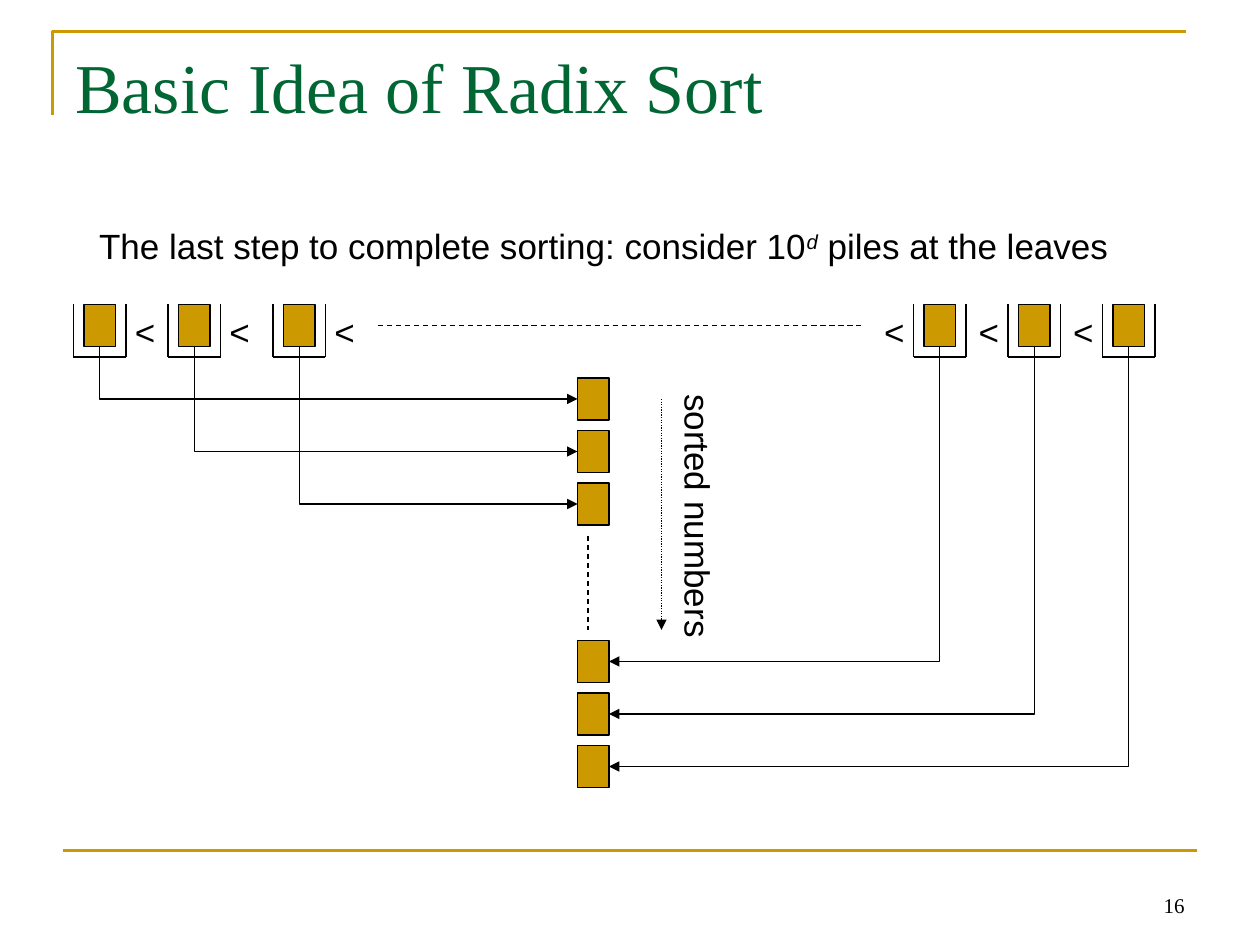
from dataclasses import dataclass

from lxml.etree import SubElement
from pptx import Presentation
from pptx.dml.color import RGBColor
from pptx.enum.dml import MSO_LINE
from pptx.enum.shapes import MSO_CONNECTOR, MSO_SHAPE
from pptx.enum.text import MSO_ANCHOR, PP_ALIGN
from pptx.oxml.ns import qn
from pptx.util import Cm, Length, Pt

GOLD, GREEN, BLACK = "CC9900", "006633", "000000"
BOX_WIDTH, BOX_HEIGHT, BIN_SIZE = 3, 4, 5
BIN_TOP, PILE_LEFT = 29, 55


@dataclass
class Route:
    """A bin whose number moves to a place in the sorted pile."""
    bin_left: float
    pile_top: float
    from_left: bool


@dataclass
class Label:
    left: float
    top: float
    width: float
    height: float
    runs: list[tuple[str, dict]]
    font: dict
    alignment: PP_ALIGN = PP_ALIGN.CENTER
    frame: dict | None = None
    color: str = BLACK
    rotation: float = 0


ROUTES = [
    Route(7, 36, True), Route(16, 41, True), Route(26, 46, True),
    Route(87, 61, False), Route(96, 66, False), Route(105, 71, False),
]


def grid(units: float) -> Length:
    """Twelve grid units make one inch."""
    return Cm(units * 2.54 / 12)


def color(value: str) -> RGBColor:
    return RGBColor.from_string(value)


def set_attributes(target, values: dict) -> None:
    for name, value in values.items():
        setattr(target, name, value)


def style_connector(connector, line_color: str, width: float, dash, arrow: bool) -> None:
    connector.line.color.rgb = color(line_color)
    connector.line.width = Pt(width)
    if dash is not None:
        connector.line.dash_style = dash
    properties = connector.element.spPr
    if arrow:
        SubElement(properties.find(qn("a:ln")), qn("a:tailEnd"), type="triangle")
    SubElement(properties, qn("a:effectLst"))


def add_line(shapes, start: tuple, end: tuple, line_color: str = BLACK,
             width: float = 0.75, dash=None, arrow: bool = False) -> None:
    points = [grid(value) for value in (*start, *end)]
    connector = shapes.add_connector(MSO_CONNECTOR.STRAIGHT, *points)
    style_connector(connector, line_color, width, dash, arrow)


def add_box(shapes, left: float, top: float):
    shape = shapes.add_shape(MSO_SHAPE.RECTANGLE, grid(left), grid(top),
                             grid(BOX_WIDTH), grid(BOX_HEIGHT))
    shape.shadow.inherit = False
    shape.fill.solid()
    shape.fill.fore_color.rgb = color(GOLD)
    shape.line.color.rgb = color(BLACK)
    shape.line.width = Pt(0.75)
    return shape


def add_bin(shapes, left: float) -> None:
    group = shapes.add_group_shape()
    right, bottom = left + BIN_SIZE, BIN_TOP + BIN_SIZE
    corners = [(left, BIN_TOP), (left, bottom), (right, bottom), (right, BIN_TOP)]
    for start, end in zip(corners, corners[1:]):
        add_line(group.shapes, start, end)


def add_elbow(shapes, source, target, route: Route) -> None:
    """Go down from the source, then sideways into the target."""
    start_x, start_y = source.left + source.width // 2, source.top + source.height
    end_x = target.left if route.from_left else target.left + target.width
    end_y = target.top + target.height // 2
    connector = shapes.add_connector(MSO_CONNECTOR.ELBOW, start_x, start_y, end_x, end_y)
    connector.begin_connect(source, 2)
    connector.end_connect(target, 1 if route.from_left else 3)
    # The frame is a quarter turn of the area that the elbow covers
    width, height = end_y - start_y, abs(end_x - start_x)
    set_attributes(connector, {
        "left": (start_x + end_x - width) // 2,
        "top": (start_y + end_y - height) // 2,
        "width": width,
        "height": height,
    })
    transform = connector.element.spPr.find(qn("a:xfrm"))
    transform.set("rot", "16200000" if route.from_left else "5400000")
    transform.set("flipH", "1" if route.from_left else "0")
    connector.element.spPr.find(qn("a:prstGeom")).set("prst", "bentConnector2")
    style_connector(connector, BLACK, 0.75, None, True)


def add_label(shapes, label: Label) -> None:
    shape = shapes.add_textbox(grid(label.left), grid(label.top),
                               grid(label.width), grid(label.height))
    shape.rotation = label.rotation
    set_attributes(shape.text_frame, {"word_wrap": False, **(label.frame or {})})
    paragraph = shape.text_frame.paragraphs[0]
    paragraph.alignment = label.alignment
    for text, values in label.runs:
        run = paragraph.add_run()
        run.text = text
        set_attributes(run.font, {**label.font, **values})
        run.font.color.rgb = color(label.color)
        if values:
            run.font._element.set("baseline", "30000")


def main() -> None:
    presentation = Presentation()
    presentation.slide_width, presentation.slide_height = Cm(25.4), Cm(19.05)
    slide = presentation.slides.add_slide(presentation.slide_layouts[6])
    shapes = slide.shapes
    body = {"name": "Arial", "size": Pt(20)}

    # Frame lines
    builder = shapes.build_freeform(grid(5), grid(11))
    builder.add_line_segments([(grid(5), grid(3)), (grid(113), grid(3))], close=False)
    corner = builder.convert_to_shape()
    corner.shadow.inherit = False
    corner.fill.background()
    corner.line.color.rgb = color(GOLD)
    corner.line.width = Pt(1.5)
    add_line(shapes, (6, 81), (114, 81), GOLD, 1.5)

    # Page number, title and statement
    add_label(shapes, Label(
        86, 82, 28, 6, [("16", {})], {"name": "Times New Roman", "size": Pt(12)},
        PP_ALIGN.RIGHT, {"word_wrap": True, "vertical_anchor": MSO_ANCHOR.BOTTOM}))
    add_label(shapes, Label(
        6, 3.6, 108, 15, [("Basic Idea of Radix Sort", {})],
        {"name": "Times New Roman", "size": Pt(40)}, PP_ALIGN.LEFT,
        {"word_wrap": True}, GREEN))
    add_label(shapes, Label(
        8.25, 20.8, 98.5, 5.25,
        [("The last step to complete sorting: consider 10", {}),
         ("d", {"italic": True}),
         (" piles at the leaves", {})], body))

    # Bins in order, each with a comparison sign on its inner side
    for route in ROUTES:
        add_bin(shapes, route.bin_left)
        sign_offset = 4.65 if route.from_left else -4
        add_label(shapes, Label(route.bin_left + sign_offset, BIN_TOP, 4.35, 5.25,
                                [("<", {})], body))
    add_line(shapes, (36, 31), (82, 31), dash=MSO_LINE.DASH)

    # Numbers in the bins and in the sorted pile
    sources = [add_box(shapes, route.bin_left + 1, BIN_TOP) for route in ROUTES]
    targets = [add_box(shapes, PILE_LEFT, route.pile_top) for route in ROUTES]
    add_line(shapes, (56, 51), (56, 60), dash=MSO_LINE.DASH)
    for source, target, route in zip(sources, targets, ROUTES):
        add_elbow(shapes, source, target, route)

    # Sorting direction, with room for the label on one line
    add_label(shapes, Label(52.5, 46.5, 28, 5.25, [("sorted numbers", {})],
                            body, rotation=90))
    add_line(shapes, (63, 38), (63, 60), dash=MSO_LINE.ROUND_DOT, arrow=True)

    presentation.save("out.pptx")


if __name__ == "__main__":
    main()
